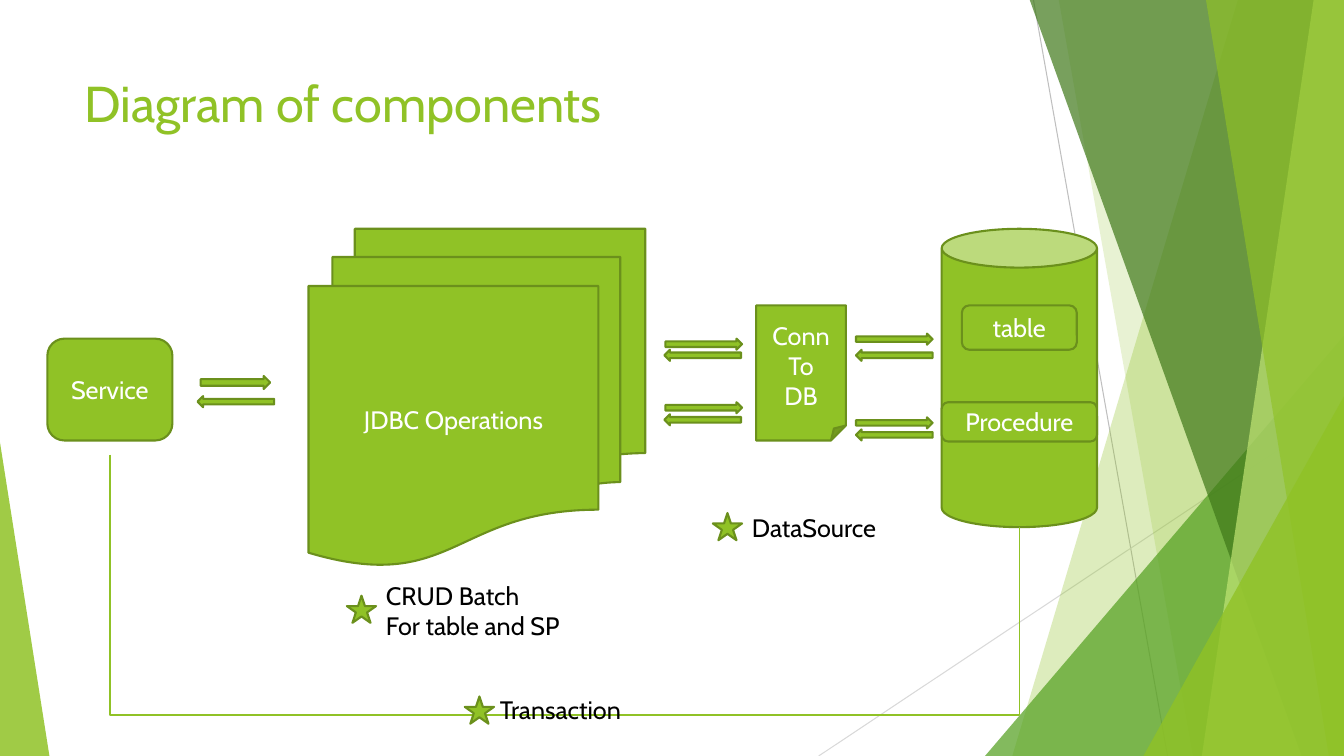
from lxml import etree
from pptx import Presentation
from pptx.dml.color import RGBColor
from pptx.enum.shapes import MSO_CONNECTOR, MSO_SHAPE
from pptx.enum.text import MSO_ANCHOR, MSO_AUTO_SIZE, PP_ALIGN
from pptx.oxml.ns import qn
from pptx.util import Inches, Pt

CAN = MSO_SHAPE.CAN
ROUND = MSO_SHAPE.ROUNDED_RECTANGLE
FOLD = MSO_SHAPE.FOLDED_CORNER
MULTI = MSO_SHAPE.FLOWCHART_MULTIDOCUMENT
RIGHT = MSO_SHAPE.RIGHT_ARROW
LEFT = MSO_SHAPE.LEFT_ARROW
STAR = MSO_SHAPE.STAR_5_POINT
TRI = MSO_SHAPE.ISOSCELES_TRIANGLE
STRAIGHT = MSO_CONNECTOR.STRAIGHT
ELBOW = MSO_CONNECTOR.ELBOW
TOP = MSO_ANCHOR.TOP
MIDDLE = MSO_ANCHOR.MIDDLE
CENTER = PP_ALIGN.CENTER
START = PP_ALIGN.LEFT
GROW = MSO_AUTO_SIZE.SHAPE_TO_FIT_TEXT
GREEN = "90C226"
EDGE = "6B901C"


def paint(shape, fill, line=None, alpha=100):
    shape.shadow.inherit = False
    shape.fill.solid()
    shape.fill.fore_color.rgb = RGBColor.from_string(fill)
    if alpha < 100:
        tint = shape.element.spPr.find(qn("a:solidFill"))[0]
        etree.SubElement(tint, qn("a:alpha")).set("val", str(alpha * 1000))
    if line:
        shape.line.color.rgb = RGBColor.from_string(line)
        shape.line.width = Pt(1.5)
    else:
        shape.line.fill.background()


def write(shape, text, size=18, color="FFFFFF", align=CENTER, anchor=MIDDLE, wrap=True):
    frame = shape.text_frame
    frame.word_wrap = wrap
    frame.vertical_anchor = anchor
    for i, words in enumerate(text.split("\n")):
        para = frame.add_paragraph() if i else frame.paragraphs[0]
        para.alignment = align
        run = para.add_run()
        run.text = words
        run.font.name = "Cabin"
        run.font.size = Pt(size)
        run.font.color.rgb = RGBColor.from_string(color)


deck = Presentation()
deck.slide_width = Inches(13.33)
deck.slide_height = Inches(7.5)
slide = deck.slides.add_slide(deck.slide_layouts[6])
shapes = slide.shapes

rays = [
    (10.25, 0, 11.58, 7.5, "BFBFBF"),
    (13.33, 4.03, 8.12, 7.5, "D9D9D9"),
]
for *ends, color in rays:
    ray = shapes.add_connector(STRAIGHT, *map(Inches, ends))
    ray.line.color.rgb = RGBColor.from_string(color)
    ray.line.width = Pt(0.75)
    etree.SubElement(ray.element.spPr, qn("a:effectLst"))

panels = [
    ((12.28, 10.04), None, GREEN, 30),
    ((10.5, 11.83), None, GREEN, 20),
    ((9.77, 3.33, 3.56, 4.17), 1, "54A021", 72),
    ((10.21, 12.91), None, "3F7819", 70),
    ((13.03, 11.92), None, "C0E474", 70),
    ((11.96, 13.18), None, GREEN, 65),
    ((11.34, 3.93, 1.99, 3.57), 1, GREEN, 80),
    ((0, 4.39, 0.49, 3.11), 0, GREEN, 85),
]
for place, peak, color, alpha in panels:
    if peak is None:
        high, low = place
        pen = shapes.build_freeform(Inches(high), Inches(-0.01))
        edge = [(13.33, -0.01), (13.33, 7.5), (low, 7.5)]
        pen.add_line_segments([(Inches(x), Inches(y)) for x, y in edge])
        panel = pen.convert_to_shape()
    else:
        panel = shapes.add_shape(TRI, *map(Inches, place))
        panel.adjustments[0] = peak
    paint(panel, color, alpha=alpha)

title = shapes.add_textbox(Inches(0.74), Inches(0.67), Inches(9.4), Inches(1.44))
write(title, "Diagram of components", size=36, color=GREEN, align=START, anchor=TOP)

nodes = [
    (CAN, 9.34, 2.27, 1.54, 2.96, ""),
    (ROUND, 9.54, 3.03, 1.14, 0.44, "table"),
    (ROUND, 9.34, 3.99, 1.54, 0.39, "Procedure"),
    (FOLD, 7.5, 3.03, 0.89, 1.34, "Conn\nTo\nDB"),
    (MULTI, 3.06, 2.27, 3.34, 3.34, "JDBC Operations"),
    (ROUND, 0.47, 3.36, 1.24, 1.01, "Service"),
]
for kind, *box, text in nodes:
    node = shapes.add_shape(kind, *map(Inches, box))
    paint(node, GREEN, EDGE)
    if text:
        write(node, text)

arrows = [
    (RIGHT, 6.6, 3.36, 0.76, 0.11),
    (RIGHT, 6.6, 3.99, 0.76, 0.11),
    (RIGHT, 8.49, 3.31, 0.76, 0.11),
    (RIGHT, 8.49, 4.14, 0.76, 0.11),
    (LEFT, 8.49, 3.47, 0.76, 0.11),
    (LEFT, 8.49, 4.26, 0.76, 0.11),
    (LEFT, 6.59, 3.47, 0.76, 0.11),
    (LEFT, 6.59, 4.11, 0.76, 0.11),
    (LEFT, 1.96, 3.93, 0.76, 0.11),
    (RIGHT, 1.99, 3.73, 0.69, 0.13),
]
for kind, *box in arrows:
    paint(shapes.add_shape(kind, *map(Inches, box)), GREEN, EDGE)

loop = shapes.add_connector(ELBOW, Inches(1.09), Inches(4.51), Inches(10.11), Inches(5.23))
loop.line.color.rgb = RGBColor.from_string(GREEN)
loop.line.width = Pt(1)
etree.SubElement(loop.element.spPr, qn("a:effectLst"))
geom = loop.element.spPr.find(qn("a:prstGeom"))
geom.set("prst", "bentConnector4")
bends = geom.find(qn("a:avLst"))
for name, value in [("adj1", 0), ("adj2", 359000)]:
    bend = etree.SubElement(bends, qn("a:gd"))
    bend.set("name", name)
    bend.set("fmla", f"val {value}")

notes = [
    (4.86, 6.84, 1.5, 0.4, "Transaction", False),
    (7.36, 5.03, 1.48, 0.4, "DataSource", False),
    (3.73, 5.71, 2.04, 0.71, "CRUD Batch\nFor table and SP", True),
]
for *box, text, wrap in notes:
    note = shapes.add_textbox(*map(Inches, box))
    write(note, text, color="000000", align=START, anchor=TOP, wrap=wrap)
    note.text_frame.auto_size = GROW

for x, y in [(3.44, 5.91), (4.61, 6.91), (7.07, 5.09)]:
    star = shapes.add_shape(STAR, Inches(x), Inches(y), Inches(0.29), Inches(0.27))
    paint(star, GREEN, EDGE)

deck.save("out.pptx")
